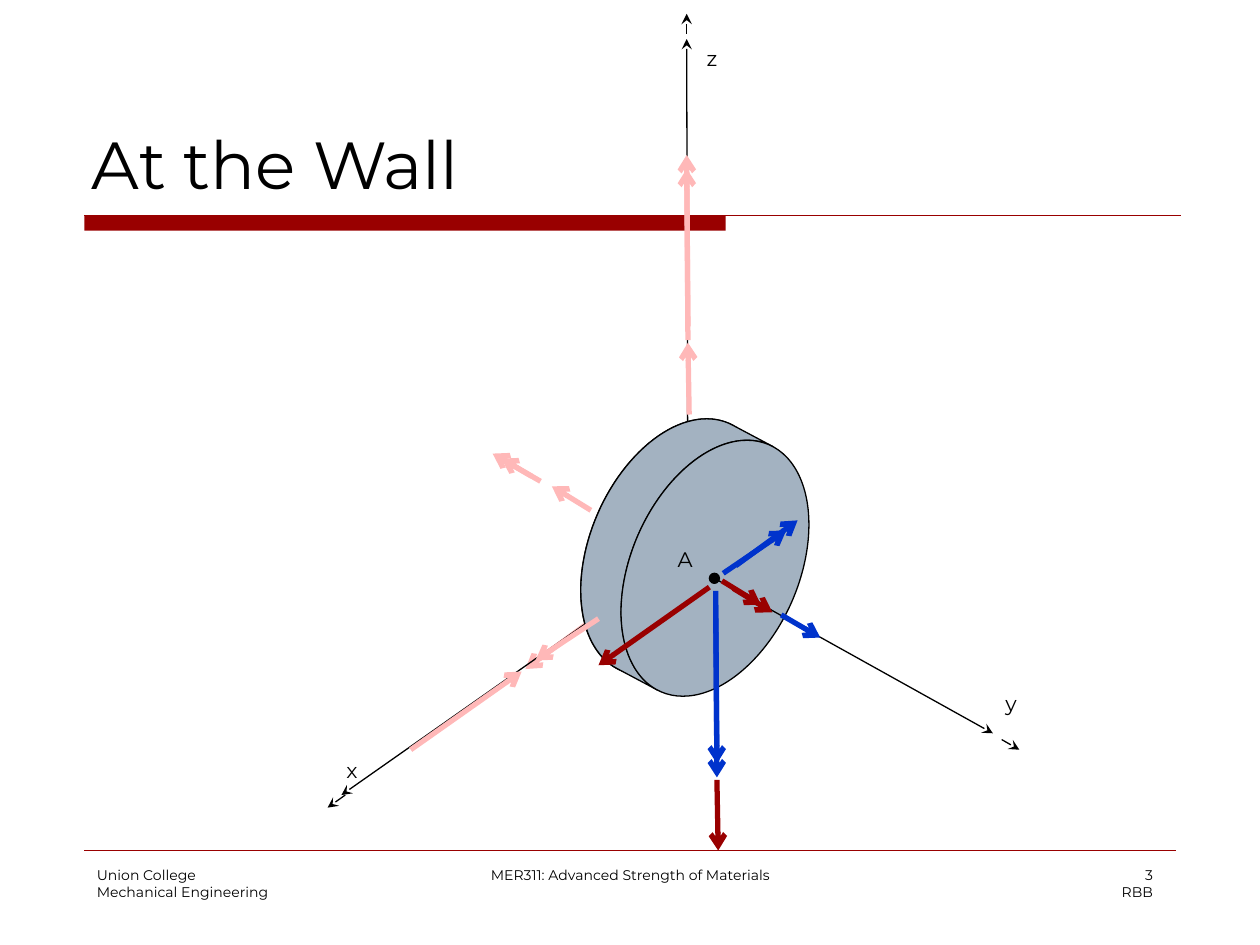
import math

from lxml import etree
from pptx import Presentation, util as u
from pptx.dml.color import RGBColor
from pptx.enum import shapes, text
from pptx.oxml.ns import qn

BLACK, RED, BLUE, PINK, STEEL = "000000", "990000", "0033CC", "FFB8B8", "A3B2C1"
THIN, THICK = 0.75, 3
ALIGN = text.PP_ALIGN


def color(value):
    return RGBColor.from_string(value)


class SlideBuilder:
    font = "Montserrat"

    def __init__(self, slide):
        self.slide = slide

    def fill_text(self, shape, lines, size, align=ALIGN.LEFT):
        frame = shape.text_frame
        for index, line in enumerate(lines):
            paragraph = frame.paragraphs[0] if index == 0 else frame.add_paragraph()
            paragraph.alignment = align
            run = paragraph.add_run()
            run.text = line
            run.font.name = self.font
            run.font.size = u.Pt(size)
            run.font.color.rgb = color(BLACK)

    def title(self, line, left, top, width, height):
        shape = self.slide.shapes.title
        shape.left, shape.top = u.Inches(left), u.Inches(top)
        shape.width, shape.height = u.Inches(width), u.Inches(height)
        shape.text_frame.auto_size = text.MSO_AUTO_SIZE.NONE
        shape.text_frame.vertical_anchor = text.MSO_ANCHOR.BOTTOM
        self.fill_text(shape, [line], 38)

    def text_box(self, lines, left, top, width, height, size, align=ALIGN.LEFT, wrap=True):
        shape = self.slide.shapes.add_textbox(
            u.Inches(left), u.Inches(top), u.Inches(width), u.Inches(height))
        shape.text_frame.word_wrap = wrap
        self.fill_text(shape, lines, size, align)

    def paint(self, shape, fill, line):
        shape.shadow.inherit = False
        shape.fill.solid()
        shape.fill.fore_color.rgb = color(fill)
        if line:
            shape.line.color.rgb = color(line)
            shape.line.width = u.Pt(THIN)
        else:
            shape.line.fill.background()

    def shape(self, kind, left, top, width, height, fill, line=BLACK, rotation=0):
        shape = self.slide.shapes.add_shape(
            kind, u.Inches(left), u.Inches(top), u.Inches(width), u.Inches(height))
        shape.rotation = rotation
        self.paint(shape, fill, line)

    def outline(self, points, fill):
        corners = [(u.Inches(x), u.Inches(y)) for x, y in points]
        builder = self.slide.shapes.build_freeform(*corners[0])
        builder.add_line_segments(corners[1:], close=True)
        self.paint(builder.convert_to_shape(), fill, BLACK)

    def line(self, start, end, line_color, width, tip=None):
        connector = self.slide.shapes.add_connector(
            shapes.MSO_CONNECTOR.STRAIGHT, *(u.Inches(value) for value in start + end))
        connector.line.color.rgb = color(line_color)
        connector.line.width = u.Pt(width)
        properties = connector._element.spPr
        if tip:
            etree.SubElement(properties.find(qn("a:ln")), qn("a:tailEnd"), type=tip)
        etree.SubElement(properties, qn("a:effectLst"))

    def axis(self, start, end):
        self.line(start, end, BLACK, THIN, "stealth")

    def vectors(self, line_color, arrows):
        for start, end in arrows:
            self.line(start, end, line_color, THICK, "arrow")


# Disk geometry: two equal tilted ellipses, the front one shifted along y
DISK_WIDTH, DISK_HEIGHT, TILT = 1.33, 2.14, 23.7
BACK, FRONT = (4.69, 3.27), (5.01, 3.44)


def rim_points(corner, start, end, steps=60):
    """Points on the rim of the disk whose unrotated frame starts at corner."""
    tilt = math.radians(TILT)
    points = []
    for step in range(steps + 1):
        angle = start + (end - start) * step / steps
        x = DISK_WIDTH / 2 * math.cos(angle)
        y = DISK_HEIGHT / 2 * math.sin(angle)
        points.append((
            corner[0] + DISK_WIDTH / 2 + x * math.cos(tilt) - y * math.sin(tilt),
            corner[1] + DISK_HEIGHT / 2 + x * math.sin(tilt) + y * math.cos(tilt)))
    return points


def side_wall():
    """Left side of the disk, between the rim points where the edges are tangent."""
    tilt = math.radians(TILT)
    shift_x, shift_y = FRONT[0] - BACK[0], FRONT[1] - BACK[1]
    along = shift_x * math.cos(tilt) + shift_y * math.sin(tilt)
    across = shift_y * math.cos(tilt) - shift_x * math.sin(tilt)
    bottom = math.atan2(DISK_HEIGHT * along, -DISK_WIDTH * across)
    top = bottom + math.pi
    return rim_points(BACK, bottom, top) + rim_points(FRONT, top, bottom)


def main():
    presentation = Presentation()
    presentation.slide_width, presentation.slide_height = u.Inches(10), u.Inches(7.5)
    slide = presentation.slides.add_slide(presentation.slide_layouts[5])
    page = SlideBuilder(slide)
    oval = shapes.MSO_SHAPE.OVAL

    # Title, rules and footer
    page.title("At the Wall", 0.63, 0.33, 8.75, 1.33)
    page.shape(shapes.MSO_SHAPE.RECTANGLE, 0.67, 1.71, 5.09, 0.12, RED, line=None)
    page.line((0.67, 1.71), (9.37, 1.71), RED, THIN)
    page.line((0.67, 6.75), (9.33, 6.75), RED, 0.25)
    for lines, left, width, align in (
            (["Union College", "Mechanical Engineering"], 0.67, 2.08, ALIGN.LEFT),
            (["MER311: Advanced Strength of Materials"], 3.42, 3.17, ALIGN.CENTER),
            (["3", "RBB"], 7.17, 2.08, ALIGN.RIGHT)):
        page.text_box(lines, left, 6.83, width, 0.5, 8, align)

    # Parts behind the disk
    page.vectors(PINK, [((4.66, 4.95), (4.17, 5.31))])
    page.axis((5.46, 4.38), (2.71, 6.31))
    page.axis((5.46, 4.39), (5.45, 0.31))

    # Disk
    page.shape(oval, *BACK, DISK_WIDTH, DISK_HEIGHT, STEEL, rotation=TILT)
    page.outline(side_wall(), STEEL)
    page.shape(oval, *FRONT, DISK_WIDTH, DISK_HEIGHT, STEEL, rotation=TILT)
    page.shape(oval, 5.63, 4.55, 0.08, 0.08, BLACK)

    # Second arrowheads of the x and z axes
    page.axis((5.45, 0.27), (5.45, 0.11))
    page.axis((2.74, 6.31), (2.6, 6.41))

    # Reactions on the hidden face
    page.vectors(PINK, [
        ((3.26, 5.95), (4.14, 5.33)),
        ((4.69, 4.05), (4.38, 3.86)),
        ((5.47, 3.29), (5.46, 2.72)),
        ((4.29, 3.82), (3.98, 3.64)),
        ((4.22, 3.78), (3.91, 3.6)),
        ((5.46, 2.7), (5.45, 1.34)),
        ((5.46, 2.59), (5.45, 1.23)),
        ((4.75, 4.91), (4.25, 5.24))])

    # The y axis in front of the disk
    page.axis((5.67, 4.59), (7.88, 5.82))
    page.axis((7.95, 5.87), (8.09, 5.95))

    # Loads at point A
    page.vectors(RED, [
        ((5.82, 4.67), (6.13, 4.86)),
        ((5.73, 4.61), (6.04, 4.8)),
        ((5.63, 4.66), (4.75, 5.28)),
        ((5.69, 6.19), (5.7, 6.75))])
    page.vectors(BLUE, [
        ((6.2, 4.88), (6.51, 5.06)),
        ((5.84, 4.49), (6.33, 4.13)),
        ((5.74, 4.55), (6.24, 4.21)),
        ((5.68, 4.8), (5.69, 6.17)),
        ((5.68, 4.69), (5.69, 6.06))])

    # Axis and point labels
    for label, left, top, width in (
            ("x", 2.65, 5.96, 0.31), ("z", 5.51, 0.31, 0.29),
            ("A", 5.28, 4.29, 0.33), ("y", 7.88, 5.43, 0.31)):
        page.text_box([label], left, top, width, 0.3, 12, wrap=False)

    presentation.save("out.pptx")


if __name__ == "__main__":
    main()
